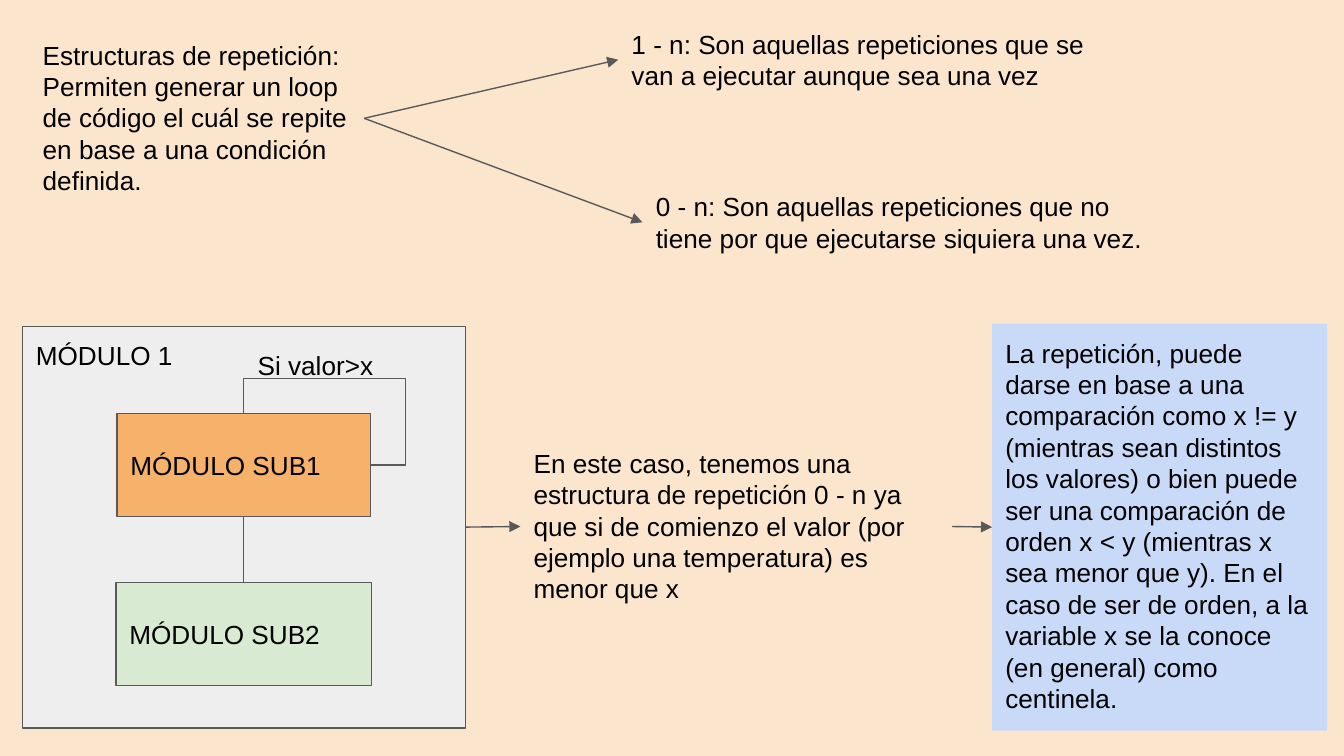
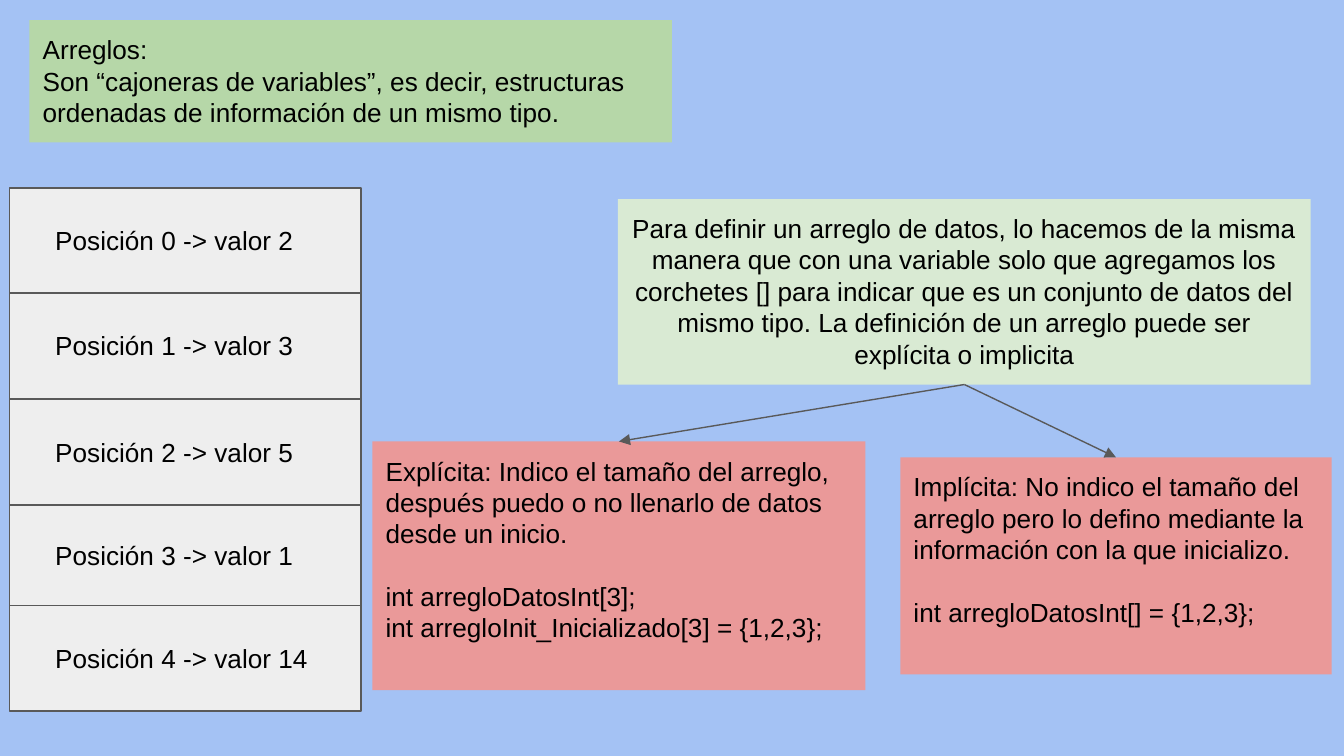
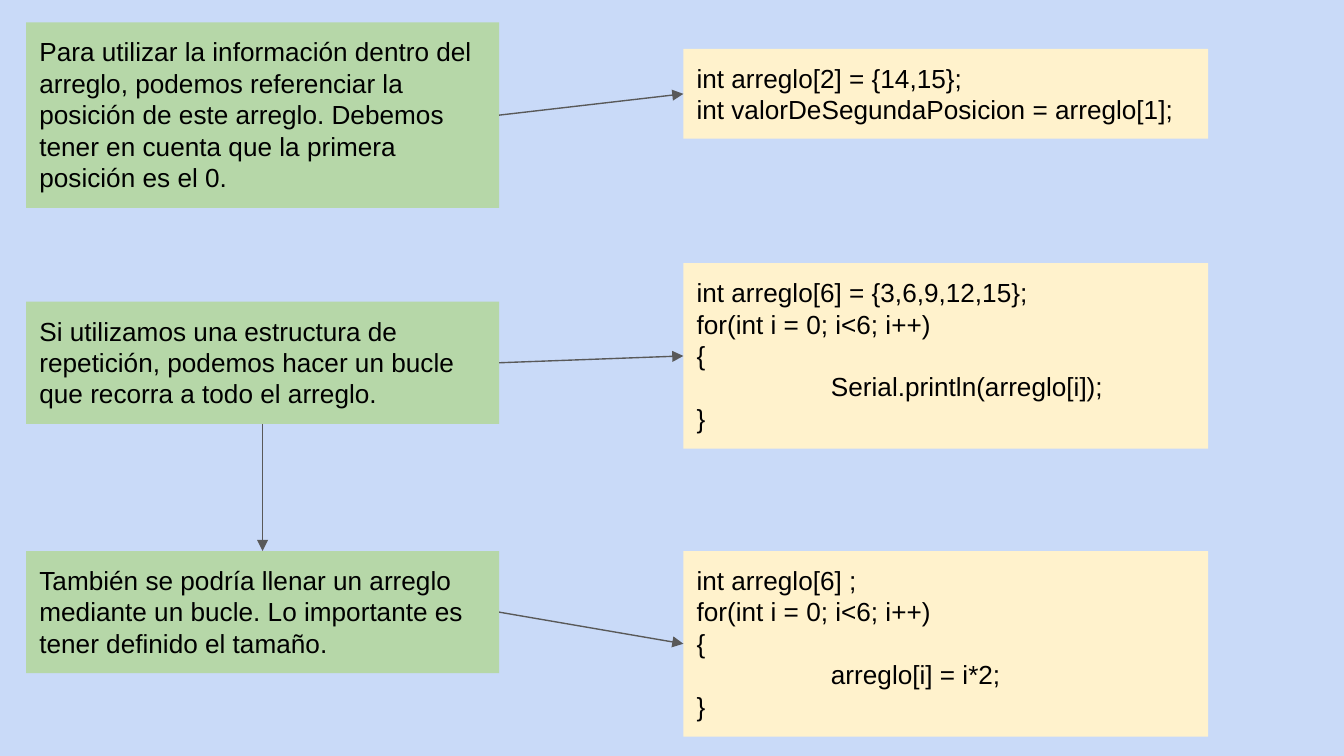
import pptx
import pptx.dml.color
import pptx.enum.shapes
import pptx.enum.text
import pptx.oxml.ns
import pptx.util
from lxml import etree

Pt = pptx.util.Pt
qn = pptx.oxml.ns.qn
CONNECTOR = pptx.enum.shapes.MSO_CONNECTOR
ALIGN = pptx.enum.text.PP_ALIGN
ANCHOR = pptx.enum.text.MSO_ANCHOR
TOP, LEFT, BOTTOM, RIGHT = range(4)

PEACH, BLUE, PALE_BLUE = "FCE5CD", "A4C2F4", "C9DAF8"
GREEN, PALE_GREEN, RED = "B6D7A8", "D9EAD3", "EA9999"
ORANGE, CREAM, GRAY = "F6B26B", "FFF2CC", "EEEEEE"
INK, STROKE = "000000", "595959"

INSET = 7.2
LINE_GAP = 16.8
TAB = 72
LINE_H = 31.7
FRAME = {
    "word_wrap": True,
    "margin_left": Pt(INSET),
    "margin_right": Pt(INSET),
    "margin_top": Pt(INSET),
    "margin_bottom": Pt(INSET),
}
FONT = {"name": "Arial", "size": Pt(14)}


def rgb(value):
    """Turn a hex string into a colour."""
    return pptx.dml.color.RGBColor.from_string(value)


def assign(obj, values):
    """Set attributes from a dict of format values."""
    for name, value in values.items():
        setattr(obj, name, value)


def within(box, x, y, w, h):
    """Place a part relative to the corner of its region."""
    return box[0] + x, box[1] + y, w, h


def new_slide(prs, color):
    """Add a blank slide with a plain background."""
    slide = prs.slides.add_slide(prs.slide_layouts[6])
    slide.background.fill.solid()
    slide.background.fill.fore_color.rgb = rgb(color)
    return slide


def add_block(slide, box, fill, line=None):
    """Add a filled rectangle, outlined when a line colour is given."""
    kind = pptx.enum.shapes.MSO_SHAPE.RECTANGLE
    sp = slide.shapes.add_shape(kind, *map(Pt, box))
    sp.shadow.inherit = False
    sp.fill.solid()
    sp.fill.fore_color.rgb = rgb(fill)
    if line:
        sp.line.color.rgb = rgb(line)
        sp.line.width = Pt(0.75)
    else:
        sp.line.fill.background()
    return sp


def add_text(slide, box, *groups, fill=None, line=None, align=ALIGN.LEFT, anchor=ANCHOR.TOP):
    """Write groups of lines, one line of space between groups."""
    if fill:
        sp = add_block(slide, box, fill, line)
    else:
        sp = slide.shapes.add_textbox(*map(Pt, box))
    tf = sp.text_frame
    assign(tf, {**FRAME, "vertical_anchor": anchor})
    if not line:
        tf.auto_size = pptx.enum.text.MSO_AUTO_SIZE.SHAPE_TO_FIT_TEXT
    p = None
    for group in groups:
        for i, text in enumerate(group.split("\n")):
            new_group = p is not None and i == 0
            p = tf.add_paragraph() if p is not None else tf.paragraphs[0]
            p.alignment = align
            if new_group:
                p.space_before = Pt(LINE_GAP)
            if text.startswith("\t"):
                tabs = etree.SubElement(p._p.get_or_add_pPr(), qn("a:tabLst"))
                etree.SubElement(tabs, qn("a:tab"), pos=str(Pt(TAB)), algn="l")
            r = p.add_run()
            r.text = text
            assign(r.font, FONT)
            r.font.color.rgb = rgb(INK)
    return sp


def add_line(slide, start, end, arrow=False, kind=CONNECTOR.STRAIGHT):
    """Add a thin connector, with an arrowhead at its end if asked."""
    cxn = slide.shapes.add_connector(kind, *map(Pt, start + end))
    cxn.line.color.rgb = rgb(STROKE)
    cxn.line.width = Pt(0.75)
    if arrow:
        etree.SubElement(cxn.line._get_or_add_ln(), qn("a:tailEnd"), type="triangle")
    etree.SubElement(cxn._element.spPr, qn("a:effectLst"))
    return cxn


def join(slide, first, first_side, second, second_side, arrow=True):
    """Connect the middles of two shapes' sides."""
    cxn = add_line(slide, (0, 0), (0, 0), arrow)
    cxn.begin_connect(first, first_side)
    cxn.end_connect(second, second_side)


def add_loop(slide, start, end):
    """Draw the line that leaves a module and comes back to its top."""
    cxn = add_line(slide, start, end, kind=CONNECTOR.ELBOW)
    geom = cxn._element.spPr.find(qn("a:prstGeom"))
    geom.set("prst", "bentConnector4")
    guides = geom.find(qn("a:avLst"))
    for name, value in (("adj1", -27600), ("adj2", 167700)):
        etree.SubElement(guides, qn("a:gd"), name=name, fmla=f"val {value}")


def repetition_kinds(slide, box):
    """Define repetition and branch into its two kinds."""
    root = add_text(
        slide, within(box, 0, 5.8, 179.3, 99.4),
        "Estructuras de repetición: Permiten generar un loop de código el cuál "
        "se repite en base a una condición definida.")
    kinds = (
        (315.4, 0, "1 - n: Son aquellas repeticiones que se van a ejecutar aunque sea una vez"),
        (328.4, 87.1, "0 - n: Son aquellas repeticiones que no tiene por que ejecutarse siquiera una vez."),
    )
    for x, y, text in kinds:
        kind = add_text(slide, within(box, x, y, 281.5, 48.2), text)
        join(slide, root, RIGHT, kind, LEFT)


def module_diagram(slide, box):
    """Draw the module with its repeated part and return its frame."""
    frame = add_block(slide, box, GRAY, STROKE)
    style = {"line": STROKE, "anchor": ANCHOR.MIDDLE}
    x, y, w, h = sub1_box = within(box, 50.6, 46.7, 135.8, 55.2)
    sub1 = add_text(slide, sub1_box, "MÓDULO SUB1", fill=ORANGE, **style)
    add_loop(slide, (x + w, y + h / 2), (x + w / 2, y))
    sub2 = add_text(slide, within(box, 50.1, 137.4, 136.8, 55.2), "MÓDULO SUB2", fill=PALE_GREEN, **style)
    join(slide, sub1, BOTTOM, sub2, TOP, arrow=False)
    add_text(slide, within(box, 118.8, 5, 113.8, LINE_H), "Si valor>x")
    add_text(slide, within(box, 0, 0, 97.9, LINE_H), "MÓDULO 1")
    return frame


def repetition_example(slide, box):
    """Explain the module diagram from left to right."""
    module = module_diagram(slide, within(box, 0, 1.4, 237.4, 215.2))
    case = add_text(
        slide, within(box, 266.7, 59, 231.3, 99.4),
        "En este caso, tenemos una estructura de repetición 0 - n ya que si de comienzo "
        "el valor (por ejemplo una temperatura) es menor que x")
    sentinel = add_text(
        slide, within(box, 519.4, 0, 179.5, 218),
        "La repetición, puede darse en base a una comparación como x != y (mientras sean "
        "distintos los valores) o bien puede ser una comparación de orden x < y (mientras x "
        "sea menor que y). En el caso de ser de orden, a la variable x se la conoce "
        "(en general) como centinela.", fill=PALE_BLUE)
    join(slide, module, RIGHT, case, LEFT)
    join(slide, case, RIGHT, sentinel, LEFT)


def array_drawers(slide, box, values):
    """Draw an array as a stack of drawers with a value in each."""
    x, y, w, h = box
    add_block(slide, box, GRAY, STROKE)
    edges = (0, 56.2, 113, 169.8, 223.5, h)
    for edge in edges[1:-1]:
        add_line(slide, (x, y + edge), (x + w, y + edge))
    for i, value in enumerate(values):
        middle = (edges[i] + edges[i + 1]) / 2
        add_text(slide, within(box, 17.3, middle - LINE_H / 2, 153.4, LINE_H), f"Posición {i} -> valor {value}")


def array_definitions(slide, box):
    """Show the two ways of defining an array."""
    root = add_text(
        slide, within(box, 131.6, 0, 371.1, 99.4),
        "Para definir un arreglo de datos, lo hacemos de la misma manera que con una variable "
        "solo que agregamos los corchetes [] para indicar que es un conjunto de datos del mismo "
        "tipo. La definición de un arreglo puede ser explícita o implicita",
        fill=PALE_GREEN, align=ALIGN.CENTER)
    ways = (
        ((0, 129.9, 264.2, 133.2),
         "Explícita: Indico el tamaño del arreglo, después puedo o no llenarlo de datos desde un inicio.",
         "int arregloDatosInt[3];\nint arregloInit_Inicializado[3] = {1,2,3};"),
        ((282.8, 138.4, 231.1, 116.4),
         "Implícita: No indico el tamaño del arreglo pero lo defino mediante la información con la que inicializo.",
         "int arregloDatosInt[] = {1,2,3};"),
    )
    for place, note, code in ways:
        way = add_text(slide, within(box, *place), note, code, fill=RED)
        join(slide, root, BOTTOM, way, TOP)


def note_with_code(slide, box, note, note_span, code, code_span):
    """Put a note beside its code and return the note."""
    note_sp = add_text(slide, within(box, 0, note_span[0], 253.4, note_span[1]), note, fill=GREEN)
    code_sp = add_text(slide, within(box, 352.1, code_span[0], 281.2, code_span[1]), code, fill=CREAM)
    join(slide, note_sp, RIGHT, code_sp, LEFT)
    return note_sp


def repetition_slide(prs):
    """Build the slide on repetition structures."""
    slide = new_slide(prs, PEACH)
    repetition_kinds(slide, (15.8, 7.9, 610, 136))
    repetition_example(slide, (12.1, 173.4, 699, 218))


def array_slide(prs):
    """Build the slide on arrays."""
    slide = new_slide(prs, BLUE)
    add_text(
        slide, (15.8, 10.8, 344.2, 65.5),
        "Arreglos:\nSon “cajoneras de variables”, es decir, estructuras ordenadas de "
        "información de un mismo tipo.", fill=GREEN)
    array_drawers(slide, (5.2, 100.8, 188.2, 280.1), (2, 3, 5, 1, 14))
    array_definitions(slide, (199.5, 106.6, 514, 263))


def array_use_slide(prs):
    """Build the slide on reading and filling arrays."""
    slide = new_slide(prs, PALE_BLUE)
    note_with_code(
        slide, (14, 12, 633.3, 99.4),
        "Para utilizar la información dentro del arreglo, podemos referenciar la posición de "
        "este arreglo. Debemos tener en cuenta que la primera posición es el 0.", (0, 99.4),
        "int arreglo[2] = {14,15};\nint valorDeSegundaPosicion = arreglo[1];", (14.2, 48.2))
    read = note_with_code(
        slide, (14, 141, 633.3, 99.4),
        "Si utilizamos una estructura de repetición, podemos hacer un bucle que recorra a "
        "todo el arreglo.", (20.6, 65.5),
        "int arreglo[6] = {3,6,9,12,15};\nfor(int i = 0; i<6; i++)\n{\n"
        "\tSerial.println(arreglo[i]);\n}", (0, 99.4))
    fill = note_with_code(
        slide, (14, 295.2, 633.3, 99.4),
        "También se podría llenar un arreglo mediante un bucle. Lo importante es tener "
        "definido el tamaño.", (0, 65.5),
        "int arreglo[6] ;\nfor(int i = 0; i<6; i++)\n{\n\tarreglo[i] = i*2;\n}", (0, 99.4))
    join(slide, read, BOTTOM, fill, TOP)


def main():
    """Build the presentation and save it."""
    prs = pptx.Presentation()
    prs.slide_width, prs.slide_height = Pt(720), Pt(405)
    repetition_slide(prs)
    array_slide(prs)
    array_use_slide(prs)
    prs.save("out.pptx")


if __name__ == "__main__":
    main()
